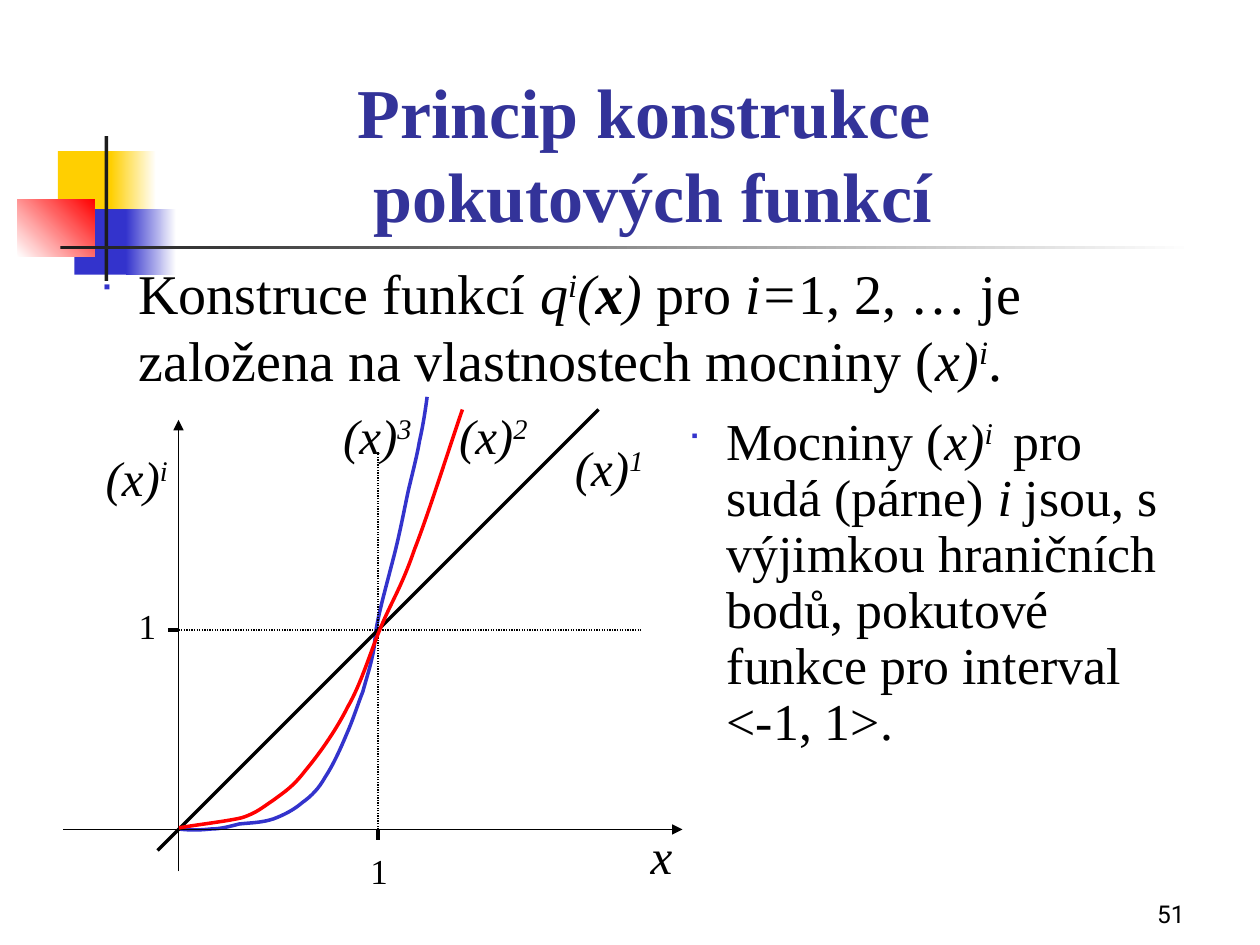
import pptx
import pptx.util
import pptx.dml.color
import pptx.enum.dml
import pptx.enum.shapes
import pptx.enum.text
import pptx.oxml
import pptx.oxml.ns
import lxml.etree

Inches, Pt, qn = pptx.util.Inches, pptx.util.Pt, pptx.oxml.ns.qn
ALIGN = pptx.enum.text.PP_ALIGN
ANCHOR = pptx.enum.text.MSO_ANCHOR

THEME = {
    "serif": "Times New Roman", "sans": "Roboto", "bullet": "Wingdings",
    "black": "000000", "title": "333399", "blue": "3333CC", "red": "FF0000",
    "gold": "FFCF01", "white": "FFFFFF", "dark": "1C1C1C",
    "head": 40, "body": 32, "side": 29.6, "label": 28, "tick": 20, "page": 14,
}

# Left, top, width, height, colours from start to end, angle
DECOR = [
    (0.46, 1.2, 0.48, 0.52, ["gold"], 0),
    (0.88, 1.2, 0.36, 0.52, ["gold", "white"], 0),
    (0.59, 1.66, 0.46, 0.52, ["blue"], 0),
    (1, 1.66, 0.4, 0.52, ["blue", "white"], 0),
    (0.14, 1.58, 0.61, 0.46, ["white", "red"], 45),
    (0.83, 1.08, 0.03, 1.15, ["dark"], 0),
    (0.48, 1.95, 9, 0.03, ["dark", "white"], 0),
]

# Runs are (text, style): b bold, i italic, ^ superscript
TITLE = [("Princip konstrukce \npokutových funkcí", "")]
BODY = [
    ("Konstruce funkcí ", ""), ("q", "i"), ("i", "i^"), ("(", "i"),
    ("x", "bi"), (")", "i"), (" pro ", ""), ("i=", "i"),
    ("1, 2, … je založena na vlastnostech mocniny (", ""),
    ("x)", "i"), ("i", "i^"), (".", ""),
]
SIDE = [
    ("Mocniny (", ""), ("x)", "i"), ("i ", "i^"), (" pro sudá (párne) ", ""),
    ("i ", "i"),
    ("jsou, s výjimkou hraničních bodů, pokutové funkce pro interval \n<-1, 1>.", ""),
]

# The chart lines lie on a grid of twelfths of an inch:
# the origin and the point (1, 1), then start, end, width, dash, arrow
GRID = 12
X0, Y0, X1, Y1 = 17, 79, 36, 60
LINES = [
    ((X0, 83), (X0, 40), 0.75, False, True),
    ((6, Y0), (65, Y0), 0.75, False, True),
    ((X1, Y0), (X1, 80), 2.75, False, False),
    ((16, Y1), (X0, Y1), 2.75, False, False),
    ((X0, Y1), (61, Y1), 0.75, True, False),
    ((X1, Y0), (X1, 43), 0.75, True, False),
    ((15, 81), (57, 39), 2, False, False),
]
TICKS = [(2.76, 6.69), (0.92, 4.75)]
POWERS = [("i", 0.67, 3.5), ("1", 4.42, 3.42), ("2", 3.5, 3.17), ("3", 2.58, 3.17)]

# Start point, then two handles and an end point for each piece
CUBE = [
    (1.42, 6.58), (1.5, 6.59), (1.58, 6.59), (1.67, 6.58),
    (1.75, 6.58), (1.82, 6.56), (1.9, 6.54), (1.99, 6.53), (2.08, 6.53), (2.17, 6.5),
    (2.25, 6.47), (2.33, 6.43), (2.4, 6.37), (2.47, 6.32), (2.53, 6.26), (2.58, 6.17),
    (2.64, 6.08), (2.7, 5.95), (2.75, 5.83), (2.8, 5.72), (2.84, 5.59), (2.88, 5.49),
    (2.91, 5.38), (2.94, 5.29), (2.96, 5.19), (2.98, 5.1), (2.97, 5.06), (3, 4.92),
    (3.03, 4.77), (3.11, 4.49), (3.15, 4.32), (3.19, 4.15), (3.21, 4.04), (3.24, 3.9),
    (3.27, 3.77), (3.31, 3.62), (3.33, 3.5), (3.36, 3.37), (3.38, 3.23), (3.39, 3.15),
]
SQUARE = [
    (1.42, 6.57), (1.6, 6.54), (1.79, 6.52), (1.92, 6.49),
    (2.04, 6.45), (2.08, 6.41), (2.17, 6.35), (2.25, 6.29), (2.32, 6.25), (2.42, 6.12),
    (2.52, 6), (2.66, 5.81), (2.76, 5.61), (2.87, 5.42), (2.94, 5.17), (3.03, 4.96),
    (3.12, 4.75), (3.19, 4.65), (3.29, 4.36), (3.4, 4.08), (3.59, 3.48), (3.67, 3.25),
]

deck = pptx.Presentation()
deck.slide_width, deck.slide_height = Inches(10), Inches(7.5)
slide = deck.slides.add_slide(deck.slide_layouts[6])
shapes = slide.shapes


def rgb(name):
    return pptx.dml.color.RGBColor.from_string(THEME[name])


def add_block(left, top, width, height, hues, angle):
    block = shapes.add_shape(pptx.enum.shapes.MSO_SHAPE.RECTANGLE,
                             Inches(left), Inches(top), Inches(width), Inches(height))
    block.shadow.inherit = False
    block.line.fill.background()
    if len(hues) == 1:
        block.fill.solid()
        block.fill.fore_color.rgb = rgb(hues[0])
        return
    block.fill.gradient()
    block.fill.gradient_angle = angle
    for stop, hue in zip(block.fill.gradient_stops, hues):
        stop.color.rgb = rgb(hue)


def add_bullet(para):
    props = para._p.get_or_add_pPr()
    props.set("marL", str(Inches(0.42)))
    props.set("indent", str(Inches(-0.31)))
    space = pptx.oxml.ns.nsdecls("a")
    for xml in (f'<a:buClr {space}><a:srgbClr val="{THEME["blue"]}"/></a:buClr>',
                f'<a:buSzPct {space} val="60000"/>',
                f'<a:buFont {space} typeface="{THEME["bullet"]}" charset="2"/>',
                f'<a:buChar {space} char="■"/>'):
        props.append(pptx.oxml.parse_xml(xml))


def add_text(left, top, width, height, runs, size, hue="black", font="serif",
             align=ALIGN.CENTER, anchor=ANCHOR.TOP, bold=False, bullet=False, space=None):
    box = shapes.add_textbox(Inches(left), Inches(top), Inches(width), Inches(height))
    frame = box.text_frame
    frame.word_wrap = True
    frame.vertical_anchor = anchor
    para = frame.paragraphs[0]
    para.alignment = align
    if space:
        para.line_spacing = space
    if bullet:
        add_bullet(para)
    para.font.name = THEME[font]
    para.font.size = Pt(THEME[size])
    para.font.color.rgb = rgb(hue)
    para.font.bold = bold
    for text, style in runs:
        for row, part in enumerate(text.split("\n")):
            if row:
                para.add_line_break()
            run = para.add_run()
            run.text = part
            if "b" in style:
                run.font.bold = True
            if "i" in style:
                run.font.italic = True
            if "^" in style:
                run._r.get_or_add_rPr().set("baseline", "30000")


def add_line(start, end, width, dash, arrow):
    line = shapes.add_connector(pptx.enum.shapes.MSO_CONNECTOR.STRAIGHT,
                                *(Inches(v / GRID) for v in start + end))
    line.line.color.rgb = rgb("black")
    line.line.width = Pt(width)
    if dash:
        line.line.dash_style = pptx.enum.dml.MSO_LINE.ROUND_DOT
    if arrow:
        lxml.etree.SubElement(line.line._get_or_add_ln(), qn("a:tailEnd"), type="triangle")
    lxml.etree.SubElement(line._element.spPr, qn("a:effectLst"))


def add_curve(points, hue):
    """Draw a chain of cubic Bezier pieces: lay out the ends, then bend each side."""
    track = [(Inches(x), Inches(y)) for x, y in points]
    maker = shapes.build_freeform(*track[0])
    maker.add_line_segments(track[3::3], close=False)
    curve = maker.convert_to_shape()
    sides = list(curve._element.iter(qn("a:lnTo")))
    for at, side in enumerate(sides):
        side.tag = qn("a:cubicBezTo")
        for spot, (x, y) in enumerate(track[3 * at + 1:3 * at + 3]):
            handle = lxml.etree.Element(qn("a:pt"), x=str(x - curve.left),
                                        y=str(y - curve.top))
            side.insert(spot, handle)
    curve.shadow.inherit = False
    curve.fill.background()
    curve.line.color.rgb = rgb(hue)
    curve.line.width = Pt(2)


for block in DECOR:
    add_block(*block)
add_text(7.42, 6.92, 2.08, 0.5, [("51", "")], "page", font="sans",
         align=ALIGN.RIGHT, anchor=ANCHOR.BOTTOM)
add_curve(CUBE, "blue")
add_text(0.58, 0.42, 9.2, 1.51, TITLE, "head", "title", anchor=ANCHOR.BOTTOM, bold=True)
add_text(0.58, 2, 8.83, 1.25, BODY, "body", align=ALIGN.LEFT, bullet=True)
for line in LINES:
    add_line(*line)
add_curve(SQUARE, "red")
for left, top in TICKS:
    add_text(left, top, 0.5, 0.44, [("1", "")], "tick")
add_text(5, 6.5, 0.5, 0.57, [("x", "i")], "label")
for power, left, top in POWERS:
    add_text(left, top, 0.83, 0.57, [("(x)", "i"), (power, "i^")], "label")
add_text(5.25, 3.25, 4.17, 3.83, SIDE, "side", align=ALIGN.LEFT, bullet=True, space=0.9)

deck.save("out.pptx")
